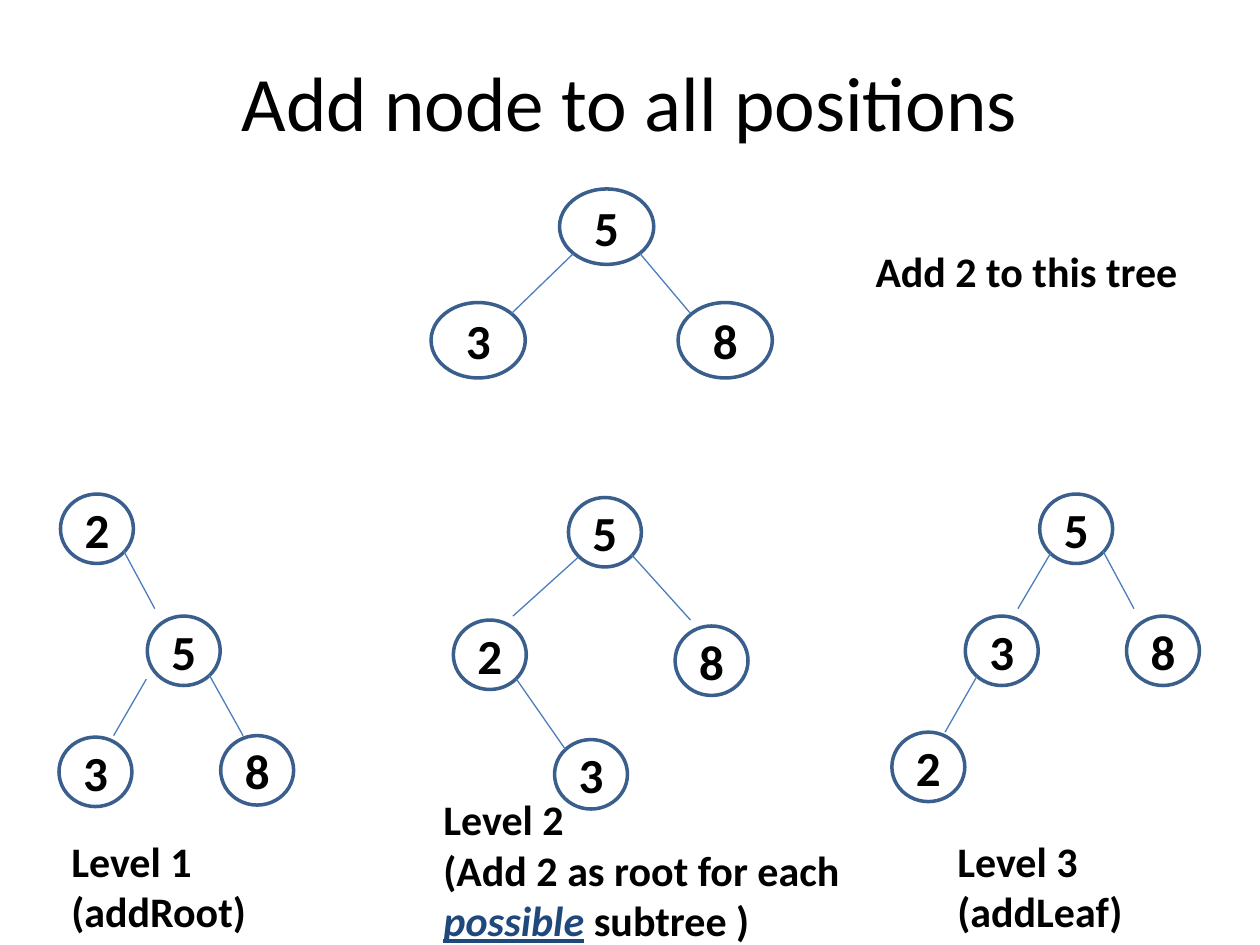
from dataclasses import dataclass

from lxml import etree
from pptx import Presentation
from pptx import util as u
from pptx.dml.color import RGBColor
from pptx.enum import shapes, text
from pptx.oxml import ns

COLORS = {"ink": "000000", "outline": "3A5F8C", "branch": "4B7EBC", "accent": "1F497D"}
FONT = "Calibri"


@dataclass
class Node:
    key: str
    left: float
    top: float


@dataclass
class Branch:
    x1: float
    y1: float
    x2: float
    y2: float


@dataclass
class Tree:
    width: float
    height: float
    nodes: list[Node]
    branches: list[Branch]


@dataclass
class Run:
    words: str
    color: str = "ink"
    emphasis: bool = False


@dataclass
class Caption:
    left: float
    top: float
    width: float
    height: float
    lines: list[list[Run]]


TREES = [
    Tree(1.9, 1.52,
         [Node("5", 11.28, 3.81), Node("3", 8.69, 6.1), Node("8", 13.67, 6.1)],
         [Branch(11.56, 5.11, 10.31, 6.32), Branch(12.9, 5.11, 13.92, 6.32)]),
    Tree(1.47, 1.4,
         [Node("5", 20.96, 9.96), Node("3", 19.46, 12.42),
          Node("8", 22.71, 12.42), Node("2", 17.98, 14.76)],
         [Branch(21.18, 11.15, 20.52, 12.27), Branch(22.23, 11.1, 22.86, 12.27),
          Branch(19.69, 13.64, 19.05, 14.76)]),
    Tree(1.47, 1.4,
         [Node("5", 11.46, 10.03), Node("3", 11.18, 14.91),
          Node("8", 13.61, 12.62), Node("2", 9.14, 12.5)],
         [Branch(11.66, 11.23, 10.34, 12.42), Branch(12.73, 11.18, 13.92, 12.5),
          Branch(10.41, 13.69, 11.4, 15.11)]),
    Tree(1.47, 1.4,
         [Node("2", 1.22, 9.96), Node("3", 1.19, 14.86),
          Node("5", 2.97, 12.42), Node("8", 4.45, 14.83)],
         [Branch(2.95, 13.69, 2.29, 14.83), Branch(2.49, 11.1, 3.12, 12.27),
          Branch(4.22, 13.61, 4.9, 14.83)]),
]

CAPTIONS = [
    Caption(1.19, 16.71, 4.09, 2.31, [[Run("Level 1")], [Run("(addRoot)")]]),
    Caption(19.05, 16.71, 4.34, 2.31, [[Run("Level 3")], [Run("(addLeaf)")]]),
    Caption(8.69, 15.88, 8.81, 3.33,
            [[Run("Level 2")],
             [Run("(Add 2 as root for each "), Run("possible", "accent", True),
              Run(" subtree )")]]),
    Caption(17.4, 4.83, 6.73, 1.27, [[Run("Add 2 to this tree")]]),
]


def rgb(name: str) -> RGBColor:
    return RGBColor.from_string(COLORS[name])


def add_run(paragraph, run: Run, size: int, bold: bool = True) -> None:
    piece = paragraph.add_run()
    piece.text = run.words
    font = piece.font
    font.name, font.size, font.bold = FONT, u.Pt(size), bold
    font.color.rgb = rgb(run.color)
    if run.emphasis:
        font.italic = font.underline = True


def add_title(slide, words: str) -> None:
    title = slide.shapes.title
    title.left, title.top = u.Cm(1.27), u.Cm(0.43)
    title.width, title.height = u.Cm(22.86), u.Cm(3.18)
    title.text_frame.vertical_anchor = text.MSO_ANCHOR.MIDDLE
    heading = title.text_frame.paragraphs[0]
    heading.alignment = text.PP_ALIGN.CENTER
    add_run(heading, Run(words), 44, bold=False)


def add_node(slide, node: Node, width: float, height: float) -> None:
    circle = slide.shapes.add_shape(
        shapes.MSO_SHAPE.FLOWCHART_CONNECTOR,
        u.Cm(node.left), u.Cm(node.top), u.Cm(width), u.Cm(height))
    circle.shadow.inherit = False
    circle.fill.background()
    circle.line.color.rgb = rgb("outline")
    circle.line.width = u.Pt(2)
    frame = circle.text_frame
    frame.word_wrap = False
    frame.vertical_anchor = text.MSO_ANCHOR.MIDDLE
    label = frame.paragraphs[0]
    label.alignment = text.PP_ALIGN.CENTER
    add_run(label, Run(node.key), 28)


def add_branch(slide, branch: Branch) -> None:
    edge = slide.shapes.add_connector(
        shapes.MSO_CONNECTOR.STRAIGHT,
        u.Cm(branch.x1), u.Cm(branch.y1), u.Cm(branch.x2), u.Cm(branch.y2))
    edge.line.color.rgb = rgb("branch")
    edge.line.width = u.Pt(0.75)
    etree.SubElement(edge._element.spPr, ns.qn("a:effectLst"))


def add_tree(slide, tree: Tree) -> None:
    for node in tree.nodes:
        add_node(slide, node, tree.width, tree.height)
    for branch in tree.branches:
        add_branch(slide, branch)


def add_caption(slide, caption: Caption) -> None:
    box = slide.shapes.add_textbox(
        u.Cm(caption.left), u.Cm(caption.top), u.Cm(caption.width), u.Cm(caption.height))
    frame = box.text_frame
    frame.word_wrap = True
    frame.auto_size = text.MSO_AUTO_SIZE.SHAPE_TO_FIT_TEXT
    for index, line in enumerate(caption.lines):
        paragraph = frame.add_paragraph() if index else frame.paragraphs[0]
        for run in line:
            add_run(paragraph, run, 24)


def main() -> None:
    deck = Presentation()
    deck.slide_width, deck.slide_height = u.Cm(25.4), u.Cm(19.05)
    slide = deck.slides.add_slide(deck.slide_layouts[5])
    add_title(slide, "Add node to all positions")
    for tree in TREES:
        add_tree(slide, tree)
    for caption in CAPTIONS:
        add_caption(slide, caption)
    deck.save("out.pptx")


if __name__ == "__main__":
    main()
